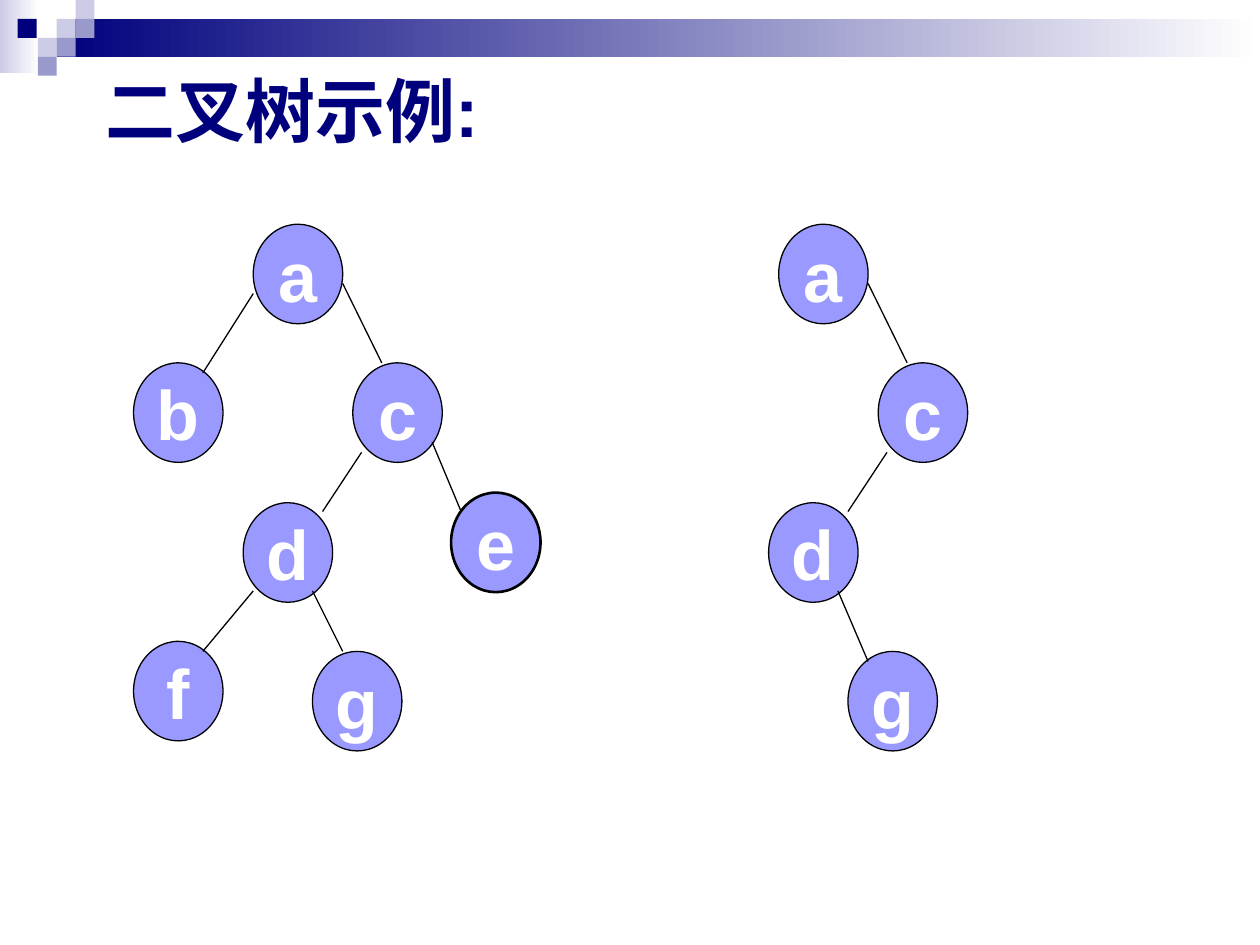
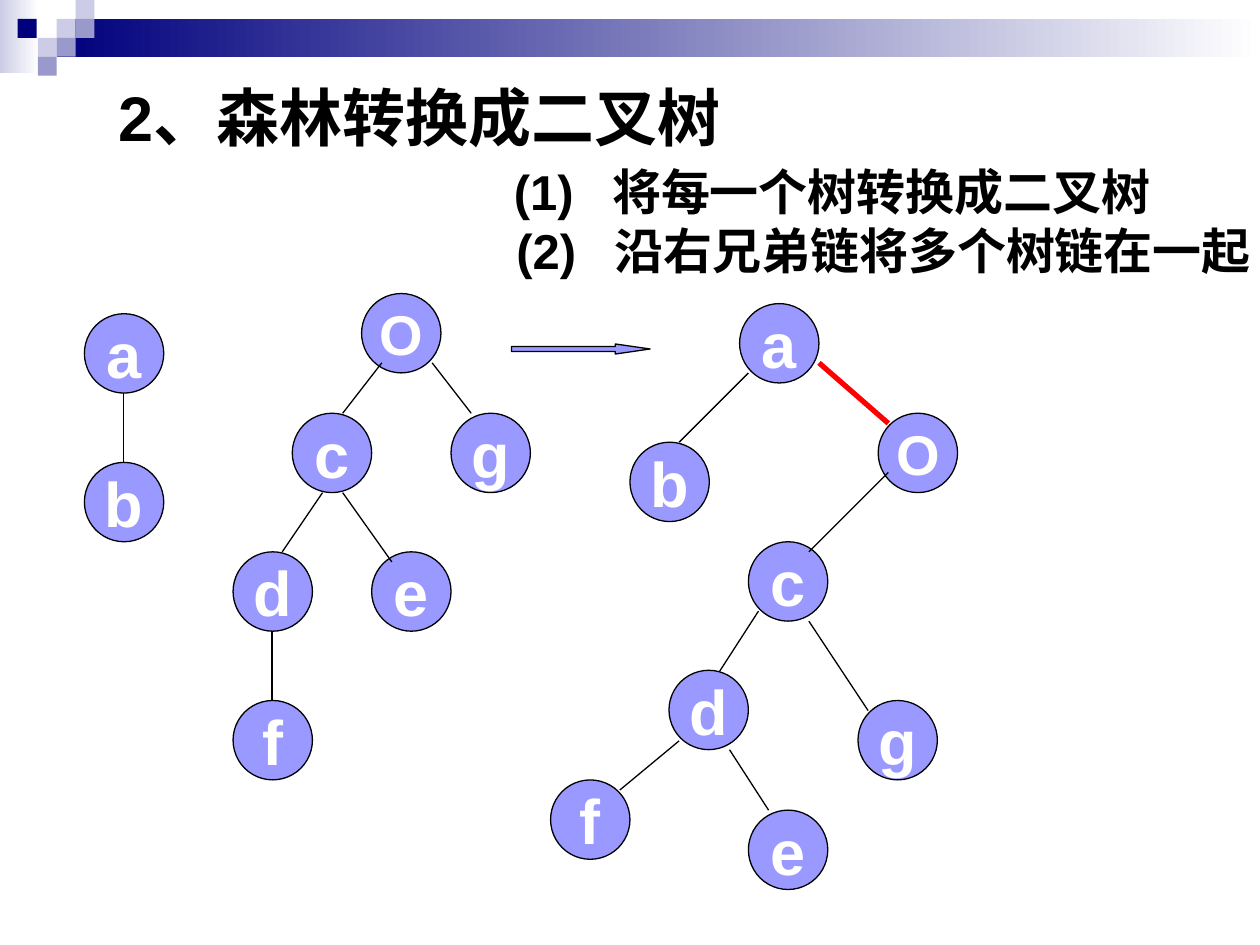
from typing import Any, NamedTuple

from lxml.etree import SubElement
from pptx import Presentation
from pptx.dml.color import RGBColor
from pptx.enum.shapes import MSO_CONNECTOR as Link, MSO_SHAPE as Form
from pptx.enum.text import MSO_ANCHOR as Anchor, MSO_AUTO_SIZE as Fit, PP_ALIGN as Align
from pptx.oxml.ns import qn
from pptx.util import Inches, Pt

FONT = "Arial"
HUES = {
    "navy": "00007D", "pale": "CCCCE6", "mid": "9999CC", "node": "9999FF",
    "black": "000000", "white": "FFFFFF", "red": "FF0000",
}


class Bar(NamedTuple):
    x: float
    y: float
    w: float
    h: float
    hue: str


class Node(NamedTuple):
    name: str
    x: float
    y: float
    size: int = 36
    line: float = 0.75


class Edge(NamedTuple):
    x1: float
    y1: float
    x2: float
    y2: float
    hue: str = "black"
    line: float = 0.75


# Shared header: two fading bars and a patch of small squares
FADES = [Bar(0, 0, 0.31, 0.58, "pale"), Bar(0.45, 0.15, 9.55, 0.3, "navy")]
TILE = 0.15
TILES = [Bar(x, y, TILE, TILE, hue) for x, y, hue in (
    (0.45, 0.15, "pale"), (0.6, 0, "pale"), (0.6, 0.15, "mid"), (0.3, 0.3, "pale"),
    (0.14, 0.15, "navy"), (0.45, 0.3, "mid"), (0.3, 0.45, "mid"))]

# Slide 1: the right tree repeats the a-c-d chain of the left one
OVAL = (0.71, 0.79)
SHIFT = 4.17
CHAIN = [Node("a", 2.01, 1.78, 40), Node("c", 2.8, 2.88, 40), Node("d", 1.93, 3.99, 40)]
CHAIN_EDGES = [Edge(2.72, 2.25, 3.03, 2.88), Edge(2.87, 3.59, 2.56, 4.06)]
FULL = [Node("b", 1.06, 2.88, 40), Node("f", 1.06, 5.09, 40),
        Node("g", 2.48, 5.17, 40), Node("e", 3.58, 3.91, 40, 1.5)]
FULL_EDGES = [Edge(2.01, 2.33, 1.61, 2.96), Edge(3.43, 3.51, 3.66, 4.06),
              Edge(2.48, 4.69, 2.72, 5.17), Edge(2.01, 4.69, 1.61, 5.17)]
TAIL = [Node("g", 6.73, 5.17, 40)]
TAIL_EDGES = [Edge(6.65, 4.69, 6.89, 5.25)]

# Slide 2: a forest and the binary tree made from it
DISC = (0.63, 0.63)
FOREST = [Node("O", 2.87, 2.33, 32), Node("a", 0.67, 2.49), Node("c", 2.32, 3.28),
          Node("g", 3.58, 3.28), Node("b", 0.67, 3.67), Node("d", 1.85, 4.38),
          Node("e", 2.95, 4.38), Node("f", 1.85, 5.56)]
FOREST_EDGES = [Edge(0.98, 3.12, 0.98, 3.67), Edge(2.56, 3.91, 2.24, 4.38),
                Edge(2.72, 3.91, 3.11, 4.46), Edge(2.16, 5.01, 2.16, 5.56),
                Edge(3.03, 2.88, 2.72, 3.28), Edge(3.43, 2.88, 3.74, 3.28)]
JOINED = [Node("a", 5.87, 2.41), Node("b", 5, 3.51), Node("O", 6.97, 3.28, 32),
          Node("c", 5.94, 4.3), Node("g", 6.81, 5.56), Node("d", 5.31, 5.32),
          Node("e", 5.94, 6.43), Node("f", 4.37, 6.19)]
JOINED_EDGES = [Edge(5.94, 2.96, 5.39, 3.51), Edge(6.02, 4.85, 5.71, 5.33),
                Edge(6.42, 4.93, 6.89, 5.64), Edge(5.39, 5.88, 4.92, 6.27),
                Edge(5.79, 5.95, 6.1, 6.43), Edge(6.42, 4.38, 7.05, 3.75),
                Edge(6.5, 2.88, 7.05, 3.36, "red", 3)]
STEPS = [(3.98, 1.23, 5.59, "(1)\t将每一个树转换成二叉树"),
         (4, 1.7, 6, "(2)\t沿右兄弟链将多个树链在一起")]


def rgb(hue: str) -> RGBColor:
    return RGBColor.from_string(HUES[hue])


def apply(item: Any, vals: dict[str, Any]) -> None:
    for key, val in vals.items():
        setattr(item, key, val)


def style(part: Any, size: float, hue: str) -> None:
    apply(part.font, {"name": FONT, "size": Pt(size), "bold": True})
    part.font.color.rgb = rgb(hue)


def add_form(slide: Any, form: Any, x: float, y: float, w: float, h: float,
             hue: str, line: float = 0) -> Any:
    shape = slide.shapes.add_shape(form, Inches(x), Inches(y), Inches(w), Inches(h))
    shape.shadow.inherit = False
    shape.fill.solid()
    shape.fill.fore_color.rgb = rgb(hue)
    if line:
        shape.line.width = Pt(line)
        shape.line.color.rgb = rgb("black")
    else:
        shape.line.fill.background()
    return shape


def add_head(slide: Any) -> None:
    for bar in FADES:
        fill = add_form(slide, Form.RECTANGLE, *bar).fill
        fill.gradient()
        fill.gradient_angle = 0
        for stop, hue, spot in zip(fill.gradient_stops, (bar.hue, "white"), (0, 1)):
            stop.color.rgb = rgb(hue)
            stop.position = spot
    for tile in TILES:
        add_form(slide, Form.RECTANGLE, *tile)


def add_page(deck: Any, text: str, x: float, y: float, w: float, h: float,
             size: int, hue: str) -> Any:
    slide = deck.slides.add_slide(deck.slide_layouts[5])
    add_head(slide)
    title = slide.shapes.title
    apply(title, {"left": Inches(x), "top": Inches(y),
                  "width": Inches(w), "height": Inches(h)})
    frame = title.text_frame
    frame.text = text
    apply(frame, {"auto_size": Fit.NONE, "vertical_anchor": Anchor.MIDDLE})
    para = frame.paragraphs[0]
    para.alignment = Align.LEFT
    style(para.runs[0], size, hue)
    return slide


def add_tree(slide: Any, nodes: list[Node], edges: list[Edge],
             size: tuple[float, float], shift: float = 0) -> None:
    for node in nodes:
        shape = add_form(slide, Form.OVAL, node.x + shift, node.y, *size, "node", node.line)
        frame = shape.text_frame
        frame.text = node.name
        apply(frame, {"word_wrap": False, "vertical_anchor": Anchor.MIDDLE})
        para = frame.paragraphs[0]
        para.alignment = Align.CENTER
        style(para.runs[0], node.size, "white")
    for edge in edges:
        link = slide.shapes.add_connector(
            Link.STRAIGHT, Inches(edge.x1 + shift), Inches(edge.y1),
            Inches(edge.x2 + shift), Inches(edge.y2))
        link.line.width = Pt(edge.line)
        link.line.color.rgb = rgb(edge.hue)
        SubElement(link._element.spPr, qn("a:effectLst"))


def add_step(slide: Any, x: float, y: float, w: float, text: str) -> None:
    box = slide.shapes.add_textbox(Inches(x), Inches(y), Inches(w), Inches(0.57))
    frame = box.text_frame
    frame.text = text
    apply(frame, {"word_wrap": True, "margin_right": 0})
    para = frame.paragraphs[0]
    # Hanging indent sets the gap after the number
    props = para._p.get_or_add_pPr()
    props.set("marL", str(Inches(0.78)))
    props.set("indent", str(-Inches(0.78)))
    for run in para.runs:
        style(run, 28, "black")


def main() -> None:
    deck = Presentation()
    apply(deck, {"slide_width": Inches(10), "slide_height": Inches(7.5)})

    # Sample trees
    slide = add_page(deck, "二叉树示例:", 0.74, 0.52, 6.93, 0.7, 40, "navy")
    add_tree(slide, CHAIN + FULL, CHAIN_EDGES + FULL_EDGES, OVAL)
    add_tree(slide, CHAIN, CHAIN_EDGES, OVAL, SHIFT)
    add_tree(slide, TAIL, TAIL_EDGES, OVAL)

    # Forest to binary tree
    slide = add_page(deck, "2、森林转换成二叉树", 0.84, 0.63, 7.15, 0.58, 36, "black")
    for step in STEPS:
        add_step(slide, *step)
    add_tree(slide, FOREST, FOREST_EDGES, DISC)
    add_tree(slide, JOINED, JOINED_EDGES, DISC)
    arrow = add_form(slide, Form.RIGHT_ARROW, 4.06, 2.73, 1.1, 0.08, "node", 0.75)
    arrow.adjustments[1] = 3.45

    deck.save("out.pptx")


if __name__ == "__main__":
    main()
